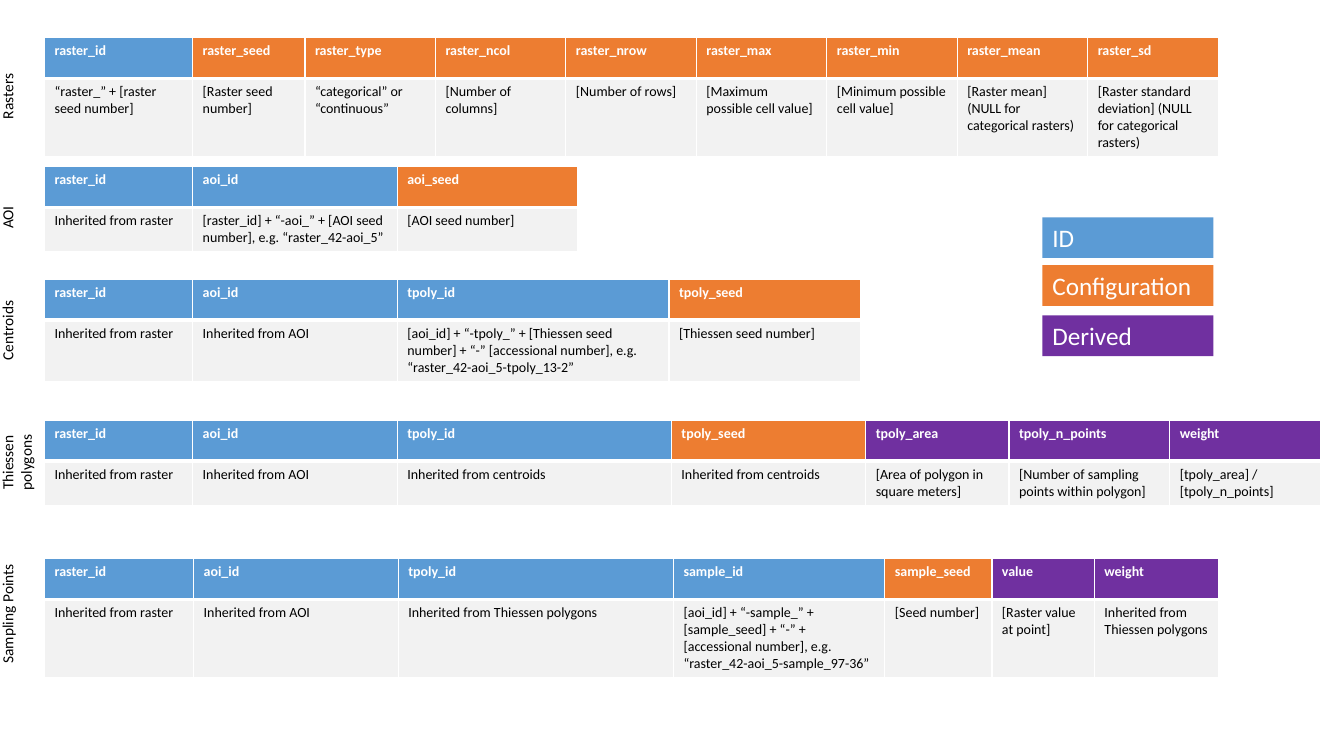
import pptx
import pptx.util
import pptx.dml.color
import pptx.enum.shapes
import pptx.enum.text
import pptx.oxml

Pt = pptx.util.Pt
NS = "http://schemas.openxmlformats.org/drawingml/2006/main"
BLUE, ORANGE, PURPLE = "5B9BD5", "ED7D31", "7030A0"
LEFT, HEAD = 31.8, 29.2


def tint(part, color):
    """Give a fill or a font a solid hex colour."""
    if hasattr(part, "solid"):
        part.solid()
        part.fore_color.rgb = pptx.dml.color.RGBColor.from_string(color)
    else:
        part.color.rgb = pptx.dml.color.RGBColor.from_string(color)


def write(frame, text, size=10, color="000000", bold=False, align="LEFT"):
    """Put one formatted paragraph into a text frame."""
    frame.word_wrap = True
    para = frame.paragraphs[0]
    para.alignment = getattr(pptx.enum.text.PP_ALIGN, align)
    run = para.add_run()
    run.text = text
    run.font.name = "Calibri"
    run.font.size = Pt(size)
    run.font.bold = bold
    tint(run.font, color)


deck = pptx.Presentation()
deck.slide_width, deck.slide_height = Pt(960), Pt(540)
slide = deck.slides.add_slide(deck.slide_layouts[6])

raster = (105.8, "raster_id", BLUE, "Inherited from raster")
aoi = (146.2, "aoi_id", BLUE, "Inherited from AOI")

# Label, table top and height, label top and height, columns
tables = [
    ("Rasters", 26.9, 84, 26.9, 84, [
        (105.8, "raster_id", BLUE, "“raster_” + [raster seed number]"),
        (80.3, "raster_seed", ORANGE, "[Raster seed number]"),
        (93.2, "raster_type", ORANGE, "“categorical” or “continuous”"),
        (93.2, "raster_ncol", ORANGE, "[Number of columns]"),
        (93.2, "raster_nrow", ORANGE, "[Number of rows]"),
        (93.2, "raster_max", ORANGE, "[Maximum possible cell value]"),
        (93.2, "raster_min", ORANGE, "[Minimum possible cell value]"),
        (93.2, "raster_mean", ORANGE,
         "[Raster mean] (NULL for categorical rasters)"),
        (93.2, "raster_sd", ORANGE,
         "[Raster standard deviation] (NULL for categorical rasters)"),
    ]),
    ("AOI", 119, 60.2, 119, 72.7, [
        raster,
        (146.2, "aoi_id", BLUE,
         "[raster_id] + “-aoi_” + [AOI seed number], e.g. “raster_42-aoi_5”"),
        (128.5, "aoi_seed", ORANGE, "[AOI seed number]"),
    ]),
    ("Centroids", 199.6, 72.7, 199.6, 72.7, [
        raster,
        aoi,
        (194.1, "tpoly_id", BLUE,
         "[aoi_id] + “-tpoly_” + [Thiessen seed number] + “-” "
         "[accessional number], e.g. “raster_42-aoi_5-tpoly_13-2”"),
        (137.2, "tpoly_seed", ORANGE, "[Thiessen seed number]"),
    ]),
    ("Thiessen polygons", 300.3, 60.2, 285.8, 89.3, [
        raster,
        aoi,
        (195.8, "tpoly_id", BLUE, "Inherited from centroids"),
        (138.8, "tpoly_seed", ORANGE, "Inherited from centroids"),
        (102.4, "tpoly_area", PURPLE, "[Area of polygon in square meters]"),
        (114.8, "tpoly_n_points", PURPLE,
         "[Number of sampling points within polygon]"),
        (108, "weight", PURPLE, "[tpoly_area] / [tpoly_n_points]"),
    ]),
    ("Sampling Points", 399, 84, 393.8, 89.3, [
        (106.5, *raster[1:]),
        aoi,
        (196.6, "tpoly_id", BLUE, "Inherited from Thiessen polygons"),
        (151, "sample_id", BLUE,
         "[aoi_id] + “-sample_” + [sample_seed] + “-” + "
         "[accessional number], e.g. “raster_42-aoi_5-sample_97-36”"),
        (76.5, "sample_seed", ORANGE, "[Seed number]"),
        (73.2, "value", PURPLE, "[Raster value at point]"),
        (88.8, "weight", PURPLE, "Inherited from Thiessen polygons"),
    ]),
]

for label, top, height, start, span, cols in tables:
    width = sum(col[0] for col in cols)
    grid = slide.shapes.add_table(
        2, len(cols), Pt(LEFT), Pt(top), Pt(width), Pt(height)).table
    grid.horz_banding = False
    grid.rows[0].height, grid.rows[1].height = Pt(HEAD), Pt(height - HEAD)
    for num, (wide, name, color, note) in enumerate(cols):
        grid.columns[num].width = Pt(wide)
        pairs = [(name, color, "FFFFFF", True), (note, "F2F2F2", "000000", False)]
        for row, (text, fill, ink, bold) in enumerate(pairs):
            cell = grid.cell(row, num)
            props = cell._tc.get_or_add_tcPr()
            thick = "B" if row == 0 else "T"
            for side in "LRTB":
                line = Pt(3 if side == thick else 1)
                props.append(pptx.oxml.parse_xml(
                    f'<a:ln{side} xmlns:a="{NS}" w="{line}"><a:solidFill>'
                    f'<a:srgbClr val="FFFFFF"/></a:solidFill></a:ln{side}>'))
            tint(cell.fill, fill)
            write(cell.text_frame, text, color=ink, bold=bold)

    box = slide.shapes.add_textbox(Pt(-5), Pt(start), Pt(28), Pt(span))
    box.text_frame._txBody.bodyPr.set("vert", "vert270")
    write(box.text_frame, label, size=11, align="CENTER")
    box.text_frame.auto_size = pptx.enum.text.MSO_AUTO_SIZE.SHAPE_TO_FIT_TEXT

legend = [("ID", 155.2, BLUE), ("Configuration", 189.4, ORANGE),
          ("Derived", 225.2, PURPLE)]
for label, top, color in legend:
    key = slide.shapes.add_shape(
        pptx.enum.shapes.MSO_SHAPE.RECTANGLE, Pt(744.6), Pt(top), Pt(122.2), Pt(29.1))
    key.shadow.inherit = False
    tint(key.fill, color)
    key.line.fill.background()
    write(key.text_frame, label, size=18, color="FFFFFF")
    key.text_frame.vertical_anchor = pptx.enum.text.MSO_ANCHOR.TOP
    key.text_frame.auto_size = pptx.enum.text.MSO_AUTO_SIZE.SHAPE_TO_FIT_TEXT

deck.save("out.pptx")
